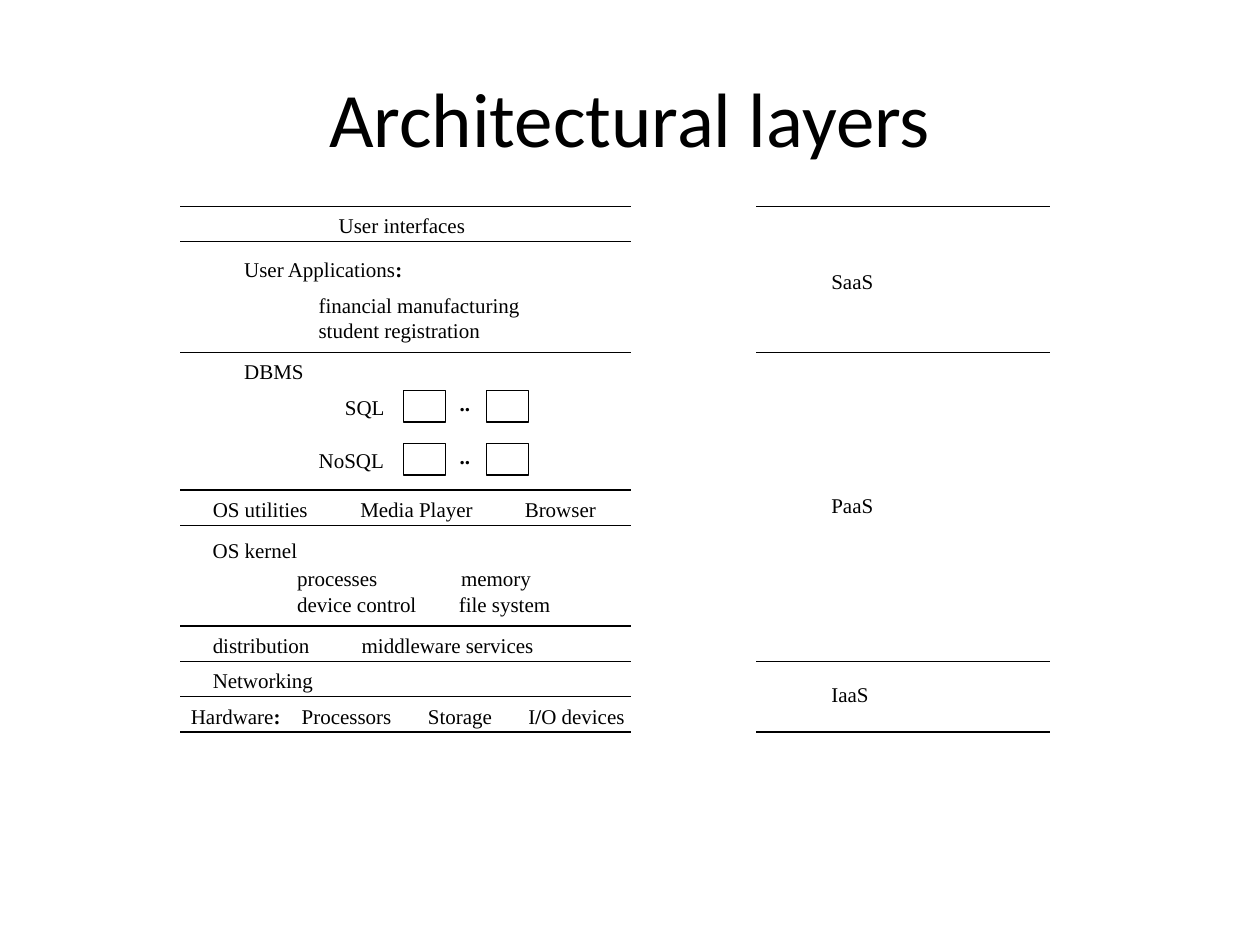
from dataclasses import dataclass
from itertools import product
from lxml.etree import SubElement as Sub
from pptx import Presentation
from pptx.dml.color import RGBColor as Color
from pptx.enum.shapes import MSO_CONNECTOR as Link, MSO_SHAPE as Form
from pptx.enum.text import MSO_ANCHOR as Anchor, MSO_AUTO_SIZE as Fit, PP_ALIGN as Align
from pptx.oxml.ns import qn
from pptx.util import Pt


@dataclass(frozen=True)
class Theme:
    ink: Color = Color(0, 0, 0)
    paper: Color = Color(255, 255, 255)
    head: str = "Calibri"
    body: str = "Times New Roman"
    big: int = 44
    small: int = 12
    rule: float = 0.75


THEME = Theme()
STACK = (103, 360.7, (118, 138.2, 201.6, 280, 300.2, 357.8, 378, 398.2, 418.3))
CLOUD = (432, 599.8, (118, 201.6, 378, 418.3))

# Asterisks enclose bold words.
LABELS = (
    (186.5, 118, 108, "User interfaces", ()),
    (132.5, 143.3, 108, "User Applications*:*", ()),
    (175, 163.4, 150, "financial manufacturing\nstudent registration", ()),
    (132.5, 201.6, 66, "DBMS", ()),
    (190, 221.8, 54, "SQL", ()),
    (175, 252, 54, "NoSQL", ()),
    (114.5, 280, 240, "OS utilities\tMedia Player\tBrowser", (84.3, 178.3)),
    (114.5, 303.8, 66, "OS kernel", ()),
    (162.7, 319.7, 174, "processes\tmemory", (93.7,)),
    (162.7, 334.4, 174, "device control\tfile system", (92.4,)),
    (114.5, 357.8, 240, "distribution\tmiddleware services", (85.1,)),
    (114.5, 378, 240, "Networking", ()),
    (102, 398.2, 276, "Hardware*:*\tProcessors\tStorage\tI*/*O devices",
     (63.3, 135.4, 192.9)),
    (468, 149.8, 66, "SaaS", ()),
    (468, 278, 66, "PaaS", ()),
    (468, 386, 66, "IaaS", ()),
)


def style(para, face, size):
    font = para.font
    font.name, font.size = face, Pt(size)
    font.color.rgb = THEME.ink


def add_tabs(para, stops):
    if stops:
        tabs = Sub(para._p.get_or_add_pPr(), qn("a:tabLst"))
        for stop in stops:
            Sub(tabs, qn("a:tab"), pos=str(Pt(stop)), algn="l")


def add_title(slide, text):
    title = slide.shapes.title
    title.left, title.top, title.width, title.height = map(Pt, (36, 21.6, 648, 90))
    frame = title.text_frame
    frame.text = text
    frame.vertical_anchor = Anchor.MIDDLE
    para = frame.paragraphs[0]
    para.alignment = Align.CENTER
    style(para, THEME.head, THEME.big)


def add_label(slide, x, y, width, text, stops=()):
    lines = text.split("\n")
    height = 7.2 + 14.6 * len(lines)
    frame = slide.shapes.add_textbox(*map(Pt, (x, y, width, height))).text_frame
    frame.word_wrap = True
    frame.auto_size = Fit.SHAPE_TO_FIT_TEXT
    for row, line in enumerate(lines):
        para = frame.add_paragraph() if row else frame.paragraphs[0]
        add_tabs(para, stops)
        style(para, THEME.body, THEME.small)
        for part, words in enumerate(line.split("*")):
            if words:
                run = para.add_run()
                run.text = words
                if part % 2:
                    run.font.bold = True


def add_rules(slide, left, right, tops):
    for y in tops:
        rule = slide.shapes.add_connector(Link.STRAIGHT, *map(Pt, (left, y, right, y)))
        rule.line.color.rgb = THEME.ink
        rule.line.width = Pt(THEME.rule)
        Sub(rule._element.spPr, qn("a:effectLst"))


def add_store(slide, x, y):
    box = slide.shapes.add_shape(Form.RECTANGLE, *map(Pt, (x, y, 24, 18)))
    box.shadow.inherit = False
    box.fill.solid()
    box.fill.fore_color.rgb = THEME.paper
    box.line.color.rgb = THEME.ink
    box.line.width = Pt(THEME.rule)


def main():
    deck = Presentation()
    deck.slide_width, deck.slide_height = Pt(720), Pt(540)
    slide = deck.slides.add_slide(deck.slide_layouts[5])
    add_title(slide, "Architectural layers")
    for group in (STACK, CLOUD):
        add_rules(slide, *group)
    tops = (223.2, 253.4)
    for y, x in product(tops, (230.4, 278)):
        add_store(slide, x, y)
    for y in tops:
        add_label(slide, 255.6, y - 3.6, 24, "*..*")
    for label in LABELS:
        add_label(slide, *label)
    deck.save("out.pptx")


if __name__ == "__main__":
    main()
